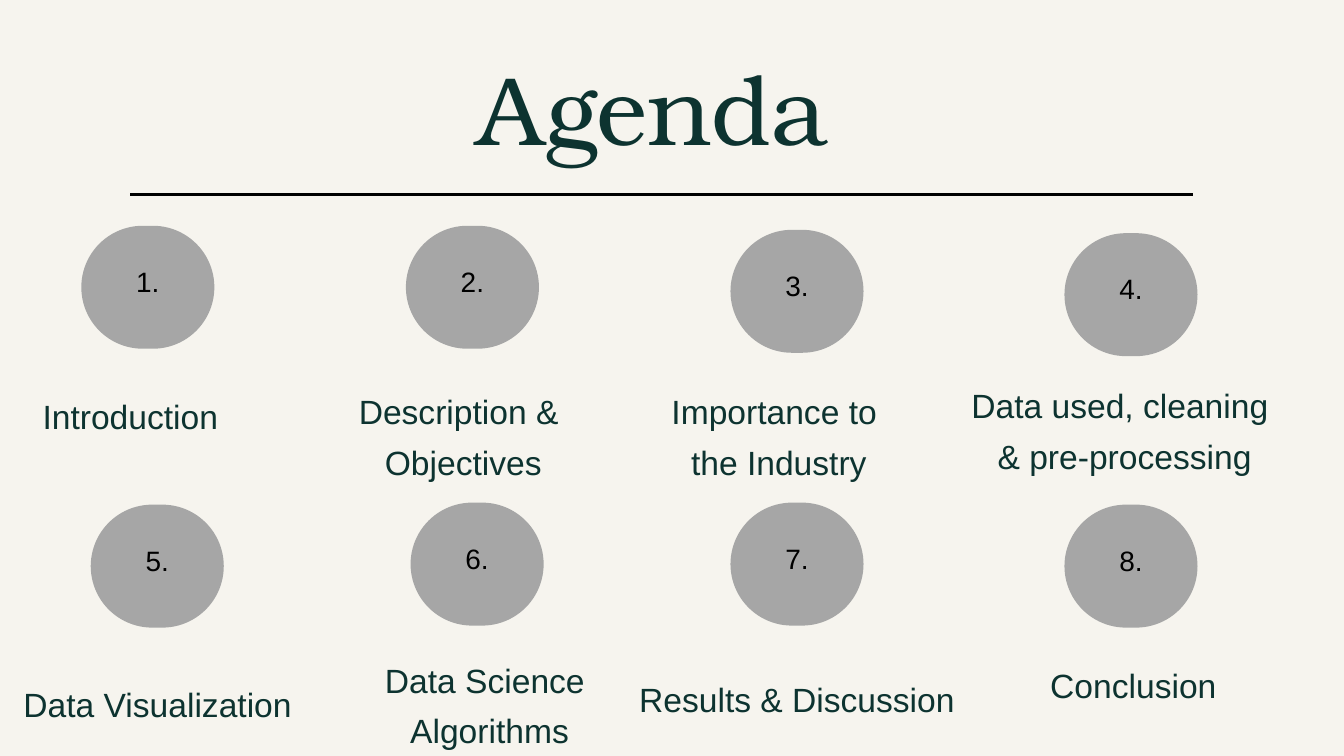
from dataclasses import dataclass
from lxml.etree import SubElement
from pptx import Presentation
from pptx.dml.color import RGBColor
from pptx.enum.shapes import MSO_CONNECTOR as Connector, MSO_SHAPE as Shape
from pptx.enum.text import MSO_ANCHOR as Anchor, MSO_AUTO_SIZE as AutoSize, PP_ALIGN as Align
from pptx.oxml.ns import qn
from pptx.util import Inches, Pt


@dataclass(frozen=True)
class Theme:
    """Colours, fonts and type sizes of the deck."""
    paper: RGBColor = RGBColor.from_string("F6F4EE")
    ink: RGBColor = RGBColor.from_string("0D3330")
    black: RGBColor = RGBColor.from_string("000000")
    badge: RGBColor = RGBColor.from_string("A6A6A6")
    heading_font: str = "TeX Gyre Bonum"
    body_font: str = "Arial"
    heading: tuple = (104.2, 125)
    label: tuple = (36, 54)
    number: tuple = (30, 45)


@dataclass(frozen=True)
class Box:
    """A rectangle measured in one-inch columns and rows."""
    left: float
    top: float
    width: float
    height: float

    def inner(self, left, top, width, height):
        """Return a box placed relative to this one."""
        return Box(self.left + left, self.top + top, width, height)

    def lengths(self):
        """Return left, top, width and height as slide lengths."""
        return [Inches(side) for side in (self.left, self.top, self.width, self.height)]


@dataclass(frozen=True)
class Topic:
    """An agenda topic with badge and label offsets inside its cell."""
    lines: tuple
    badge: tuple
    label: tuple
    width: float


THEME = Theme()
PAGE = Box(0, 0, 20, 11.25)
COLUMNS = 4
GRID = Box(0, 3.36, PAGE.width / COLUMNS, 4.12)
BADGE_SIZE = (1.98, 1.83)
LABEL_HEIGHTS = {1: 0.69, 2: 1.43}
TOPICS = (
    Topic(("Introduction",), (1.21, 0), (0.49, 2.38), 2.9),
    Topic(("Description & ", "Objectives"), (1.04, 0), (0.23, 2.31), 3.33),
    Topic(("Importance to ", "the Industry"), (0.87, 0.06), (-0.15, 2.31), 3.48),
    Topic(("Data used, cleaning ", "& pre-processing"), (0.84, 0.11), (-0.7, 2.22), 4.87),
    Topic(("Data Visualization",), (1.35, 0.03), (0.13, 2.54), 4.43),
    Topic(("Data Science ", "Algorithms"), (1.11, 0), (0.65, 2.19), 3.27),
    Topic(("Results & Discussion",), (0.87, 0), (-0.59, 2.48), 4.9),
    Topic(("Conclusion",), (0.84, 0.03), (-0.2, 2.27), 4.13),
)


def set_values(target, values):
    """Set each named attribute of the target."""
    for name, value in values.items():
        setattr(target, name, value)


def write_text(shape, lines, type_size, color, font=THEME.body_font,
               align=Align.CENTER, anchor=Anchor.TOP, inset=0, lift=0):
    """Write one formatted paragraph for each line."""
    size, spacing = type_size
    frame = shape.text_frame
    set_values(frame, {
        "word_wrap": True, "auto_size": AutoSize.NONE, "vertical_anchor": anchor,
        "margin_left": Inches(inset), "margin_right": Inches(inset),
        "margin_top": Inches(inset), "margin_bottom": Inches(inset + lift),
    })
    for index, line in enumerate(lines):
        para = frame.add_paragraph() if index else frame.paragraphs[0]
        set_values(para, {"alignment": align, "line_spacing": Pt(spacing),
                          "space_before": Pt(0), "space_after": Pt(0)})
        span = para.add_run()
        span.text = line
        set_values(span.font, {"name": font, "size": Pt(size), "bold": False})
        span.font.color.rgb = color


def place(shape, box):
    """Move and size a shape to fill the box."""
    set_values(shape, dict(zip(("left", "top", "width", "height"), box.lengths())))


def add_header(page, box):
    """Place the title and the rule that closes the header box."""
    title = page.shapes.title
    place(title, box.inner(5.16, 0.72, 11.62, 1.74))
    write_text(title, ["Agenda"], THEME.heading, THEME.ink,
               font=THEME.heading_font, align=Align.LEFT)
    left, top, width, height = box.lengths()
    rule = page.shapes.add_connector(Connector.STRAIGHT, left, top + height,
                                     left + width, top + height)
    rule.line.color.rgb = THEME.black
    rule.line.width = Pt(3)
    SubElement(rule._element.spPr, qn("a:effectLst"))


def add_badge(page, box, number):
    """Draw a rounded badge with its number set slightly above the middle."""
    badge = page.shapes.add_shape(Shape.ROUNDED_RECTANGLE, *box.lengths())
    badge.adjustments[0] = 0.5
    badge.shadow.inherit = False
    badge.fill.solid()
    badge.fill.fore_color.rgb = THEME.badge
    badge.line.fill.background()
    write_text(badge, [f"{number}."], THEME.number, THEME.black,
               anchor=Anchor.MIDDLE, inset=0.06, lift=0.31)


def add_topic(page, box, number, topic):
    """Place a numbered badge and its label in a grid cell."""
    add_badge(page, box.inner(*topic.badge, *BADGE_SIZE), number)
    label_box = box.inner(*topic.label, topic.width, LABEL_HEIGHTS[len(topic.lines)])
    label = page.shapes.add_textbox(*label_box.lengths())
    write_text(label, topic.lines, THEME.label, THEME.ink)


def add_agenda(page, grid):
    """Lay the topics out row by row from the first cell of the grid."""
    for index, topic in enumerate(TOPICS):
        row, column = divmod(index, COLUMNS)
        cell = grid.inner(column * grid.width, row * grid.height, grid.width, grid.height)
        add_topic(page, cell, index + 1, topic)


def main():
    """Build and save the agenda deck."""
    deck = Presentation()
    set_values(deck, {"slide_width": Inches(PAGE.width), "slide_height": Inches(PAGE.height)})
    page = deck.slides.add_slide(deck.slide_layouts.get_by_name("Title Only"))
    page.background.fill.solid()
    page.background.fill.fore_color.rgb = THEME.paper
    add_header(page, PAGE.inner(1.94, 0, 15.82, 2.89))
    add_agenda(page, GRID)
    deck.save("out.pptx")


if __name__ == "__main__":
    main()
